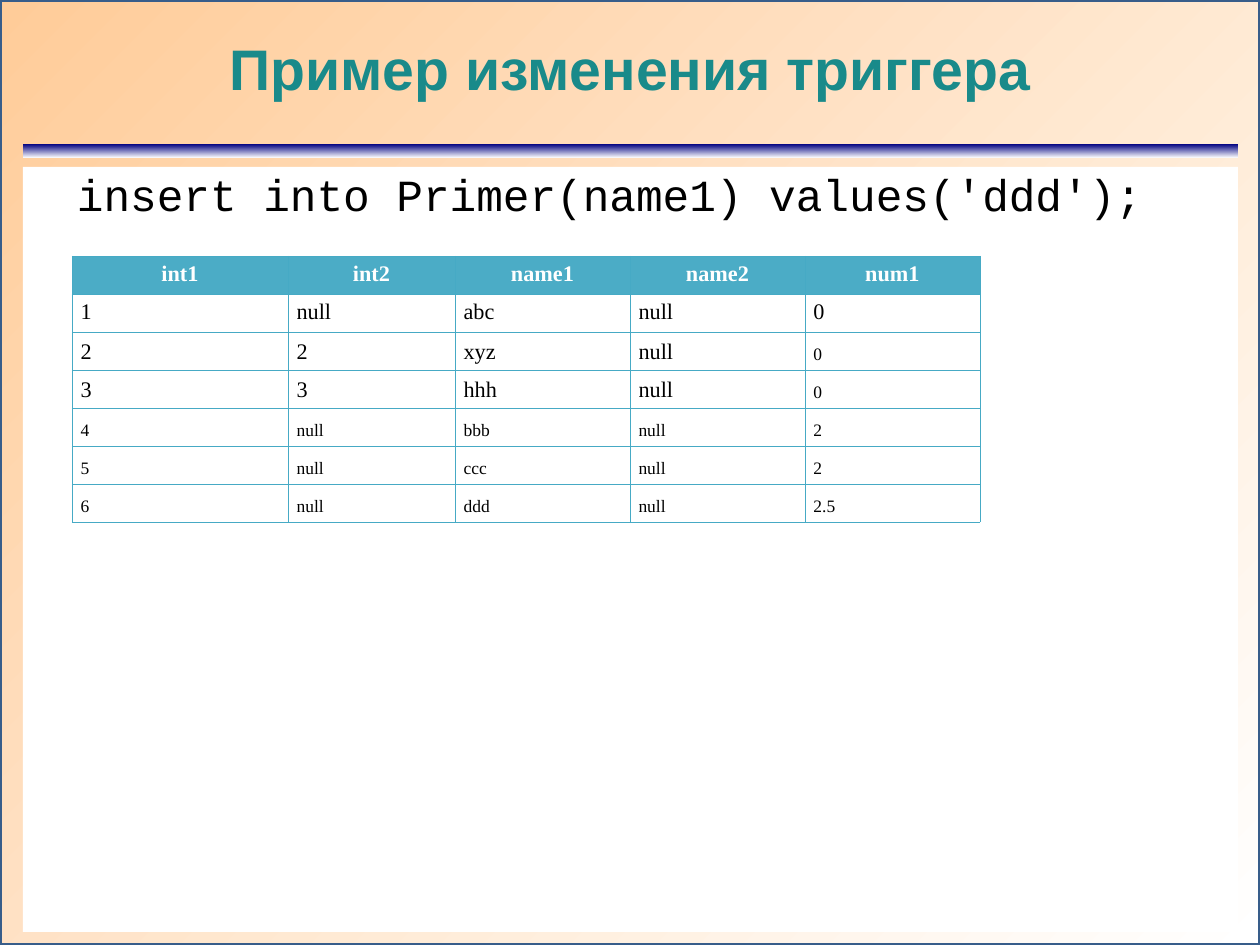
from lxml import etree
from pptx import Presentation
from pptx.dml.color import RGBColor
from pptx.enum.shapes import MSO_SHAPE
from pptx.enum.text import MSO_ANCHOR, PP_ALIGN
from pptx.oxml.ns import qn
from pptx.util import Pt

PX = 8000  # EMU per px
WIDTH, HEIGHT = 1260, 945
MARGIN, CONTENT_W = 23, 1215

COLUMNS = [216, 167, 175, 175, 175]
ROWS = [
    ["int1", "int2", "name1", "name2", "num1"],
    ["1", "null", "abc", "null", "0"],
    ["2", "2", "xyz", "null", "0"],
    ["3", "3", "hhh", "null", "0"],
    ["4", "null", "bbb", "null", "2"],
    ["5", "null", "ccc", "null", "2"],
    ["6", "null", "ddd", "null", "2.5"],
]


def rgb(value):
    return RGBColor.from_string(value)


def px(*lengths):
    return [length * PX for length in lengths]


def add_rect(slide, box):
    sp = slide.shapes.add_shape(MSO_SHAPE.RECTANGLE, *px(*box))
    sp.shadow.inherit = False
    sp.line.fill.background()
    return sp


def fill_gradient(sp, start, end, angle):
    sp.fill.gradient()
    sp.fill.gradient_angle = angle
    for stop, color in zip(sp.fill.gradient_stops, (start, end)):
        stop.color.rgb = rgb(color)


def set_text(tf, text, font, size, color, bold=False, align=PP_ALIGN.LEFT):
    tf.text = text
    p = tf.paragraphs[0]
    p.alignment = align
    f = p.runs[0].font
    f.name, f.size, f.bold = font, Pt(size), bold
    f.color.rgb = rgb(color)
    return p


def set_frame(tf, anchor, left=0):
    tf.word_wrap = True
    tf.vertical_anchor = anchor
    tf.margin_left = left * PX
    tf.margin_top = tf.margin_right = tf.margin_bottom = 0


def add_background(slide, box):
    page = add_rect(slide, box)
    fill_gradient(page, "FFFFFF", "FFCC99", 135)
    page.line.color.rgb = rgb("385D8A")
    page.line.width = Pt(2)
    # Band under the title
    x, y, w, h = box
    band = add_rect(slide, (x + MARGIN, y + 144, CONTENT_W, 14))
    fill_gradient(band, "000080", "FFFFFF", 270)


def add_title(slide, box, text):
    tf = slide.shapes.add_textbox(*px(*box)).text_frame
    set_frame(tf, MSO_ANCHOR.MIDDLE)
    set_text(tf, text, "Arial", 36, "198A8A", True, PP_ALIGN.CENTER)


def set_borders(cell, color, width):
    tc_pr = cell._tc.get_or_add_tcPr()
    for i, side in enumerate(("lnL", "lnR", "lnT", "lnB")):
        ln = etree.Element(qn(f"a:{side}"), w=str(Pt(width)))
        fill = etree.SubElement(ln, qn("a:solidFill"))
        etree.SubElement(fill, qn("a:srgbClr"), val=color)
        tc_pr.insert(i, ln)


def add_data_table(slide, x, y):
    heights = [36, 36] + [38] * (len(ROWS) - 2)
    frame = slide.shapes.add_table(
        len(ROWS), len(COLUMNS), *px(x, y, sum(COLUMNS), sum(heights)))
    table = frame.table
    for column, width in zip(table.columns, COLUMNS):
        column.width = width * PX
    for r, (values, height) in enumerate(zip(ROWS, heights)):
        table.rows[r].height = height * PX
        header = r == 0
        for c, value in enumerate(values):
            cell = table.cell(r, c)
            cell.margin_left = cell.margin_right = Pt(5.4)
            cell.margin_top = cell.margin_bottom = Pt(3.6)
            cell.fill.solid()
            cell.fill.fore_color.rgb = rgb("4BACC6" if header else "FFFFFF")
            set_borders(cell, "46AAC5", 0.34)
            # Later rows, and the last column from row 2 on, are smaller
            size = 11 if r > 3 or (r > 1 and c == 4) else 14
            align = PP_ALIGN.JUSTIFY if c > 2 else PP_ALIGN.LEFT
            p = set_text(cell.text_frame, value, "Times New Roman", size,
                         "FFFFFF" if header else "000000", header,
                         PP_ALIGN.CENTER if header else align)
            if r > 1:
                p.line_spacing = Pt(16.7)


def add_body(slide, box, code):
    x, y, w, h = box
    panel = add_rect(slide, box)
    panel.fill.solid()
    panel.fill.fore_color.rgb = rgb("FFFFFF")
    set_frame(panel.text_frame, MSO_ANCHOR.TOP, left=54)
    set_text(panel.text_frame, code, "Courier New", 28, "000000")
    add_data_table(slide, x + 49, y + 89)


def main():
    prs = Presentation()
    prs.slide_width, prs.slide_height = px(WIDTH, HEIGHT)
    slide = prs.slides.add_slide(prs.slide_layouts[6])
    add_background(slide, (0, 0, WIDTH, HEIGHT))
    add_title(slide, (MARGIN, 23, CONTENT_W, 90), "Пример изменения триггера")
    add_body(slide, (MARGIN, 167, CONTENT_W, 765),
             "insert into Primer(name1) values('ddd');")
    prs.save("out.pptx")


if __name__ == "__main__":
    main()
